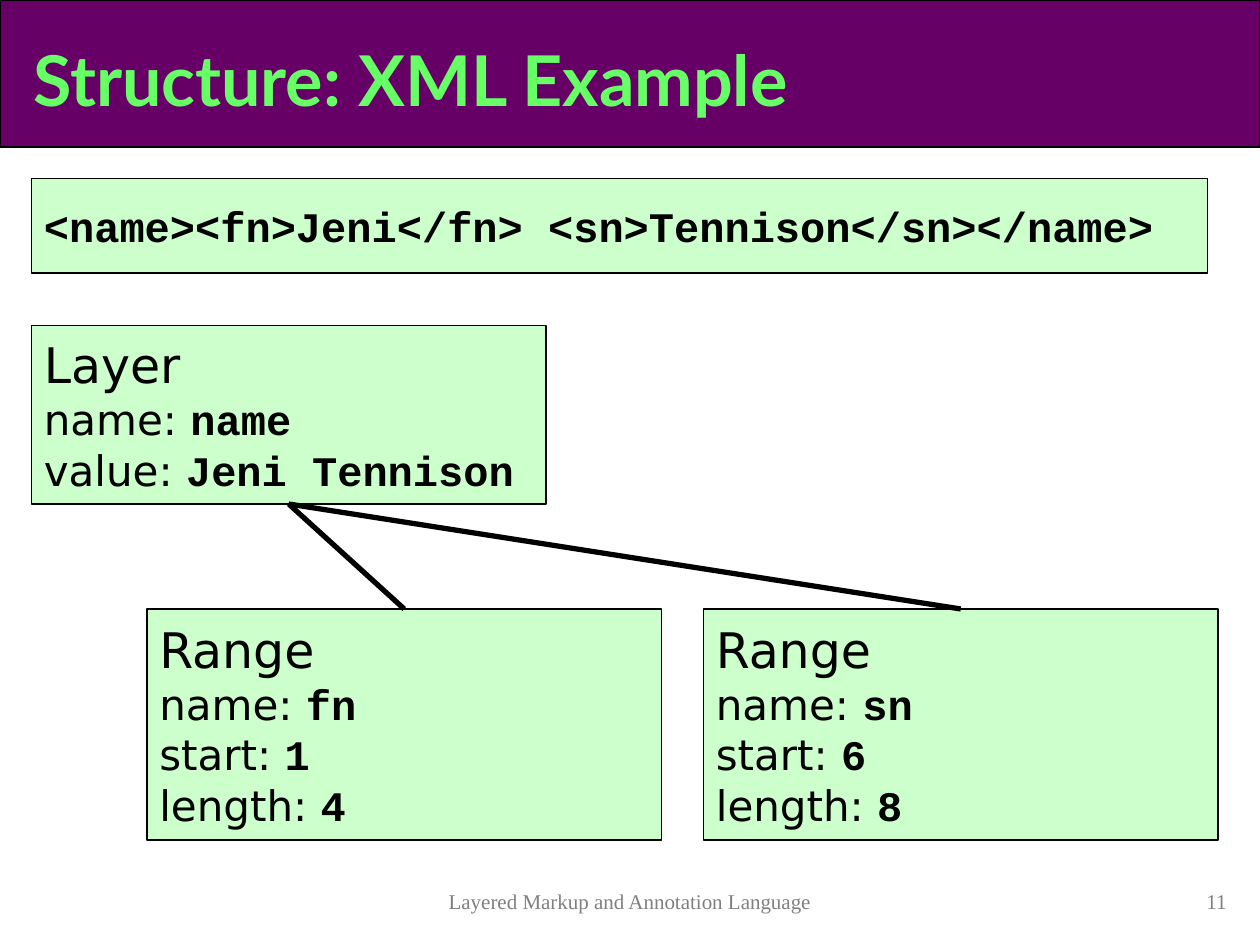
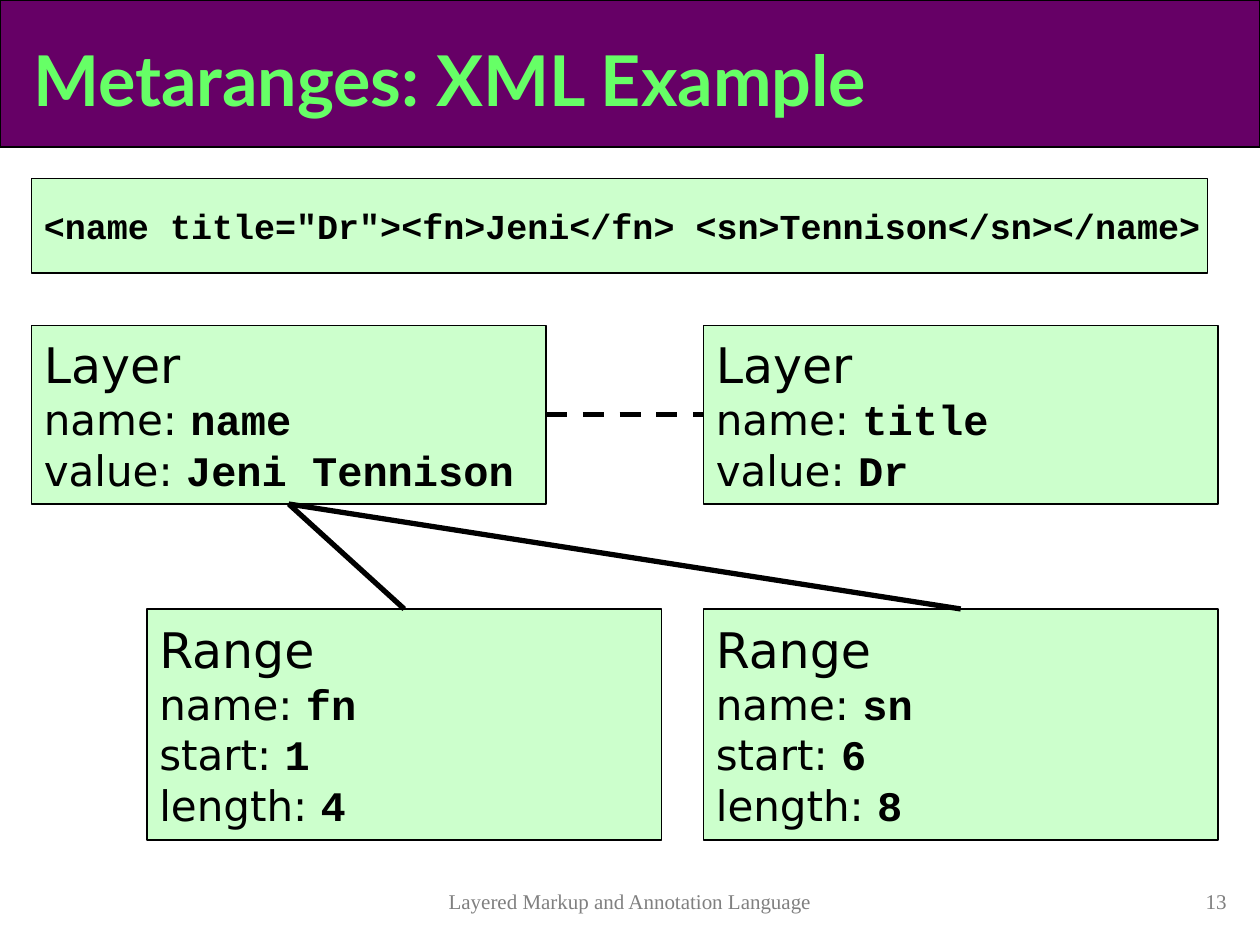
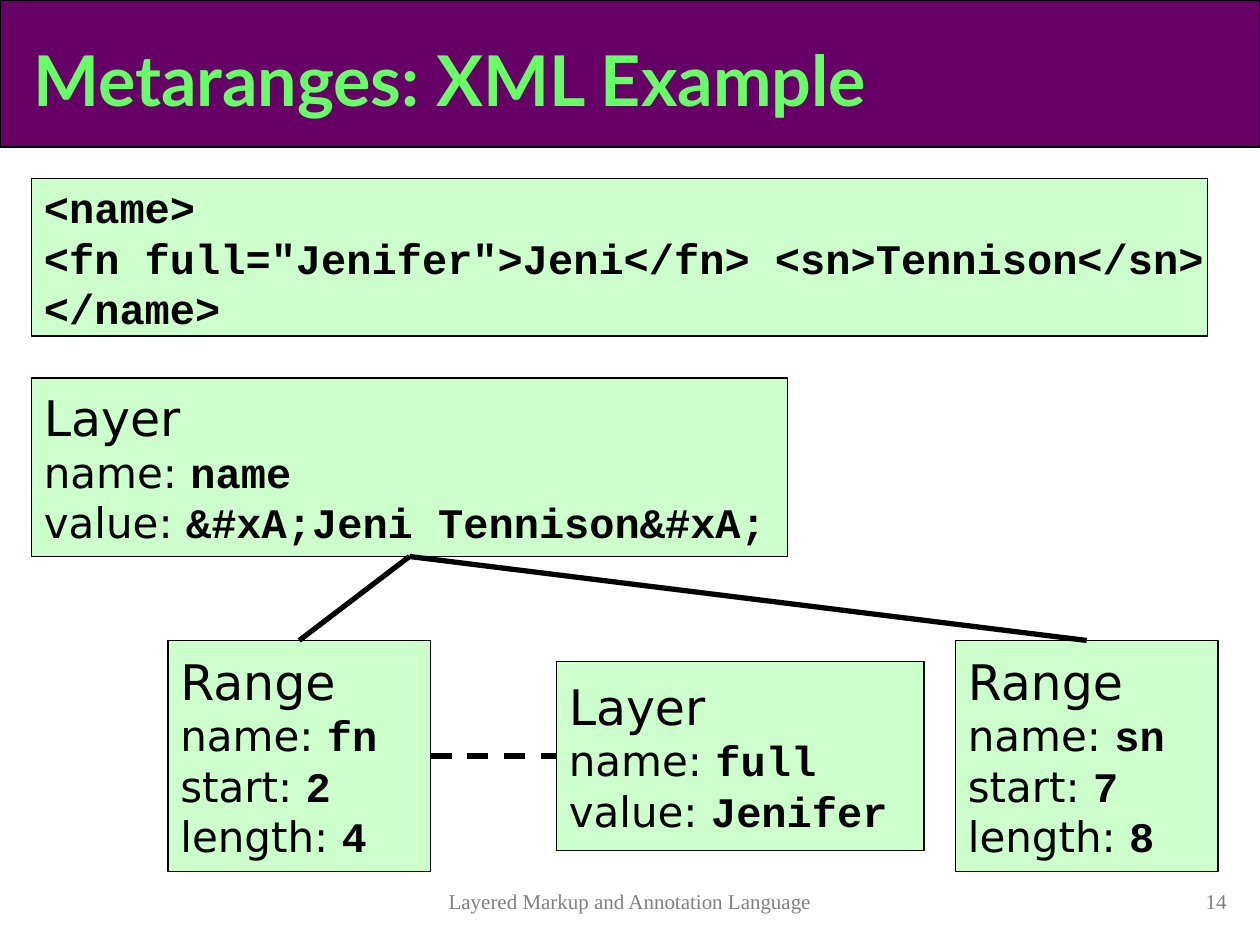
from pptx import Presentation
from pptx.dml.color import RGBColor
from pptx.enum import dml, shapes, text
from pptx.oxml import ns
from pptx.util import Pt
from lxml import etree

PURPLE = RGBColor(0x66, 0x00, 0x66)
BRIGHT_GREEN = RGBColor(0x66, 0xFF, 0x66)
PALE_GREEN = RGBColor(0xCC, 0xFF, 0xCC)
BLACK = RGBColor(0x00, 0x00, 0x00)
GREY = RGBColor(0x80, 0x80, 0x80)

TITLE_FONT = {"name": "Lato", "size": Pt(40), "bold": True}
HEAD_FONT = {"name": "DejaVu Sans", "size": Pt(28), "bold": False}
LABEL_FONT = {"name": "DejaVu Sans", "size": Pt(24), "bold": False}
CODE_FONT = {"name": "Courier New", "size": Pt(24), "bold": True}
FOOTER_FONT = {"name": "Times New Roman", "size": Pt(12), "bold": False}

LEFT, CENTER, RIGHT = text.PP_ALIGN.LEFT, text.PP_ALIGN.CENTER, text.PP_ALIGN.RIGHT
TOP, MIDDLE = text.MSO_ANCHOR.TOP, text.MSO_ANCHOR.MIDDLE
TOP_SITE, LEFT_SITE, BOTTOM_SITE, RIGHT_SITE = range(4)

BAND_BOX = (0, 0, 720, 84)
TITLE_BOX = (12, 12, 690, 66)
FOOTER_BOX = (174, 504, 372, 24)
NUMBER_BOX = (558, 504, 150, 24)
FOOTER = "Layered Markup and Annotation Language"


def set_format(target, values):
    for name, value in values.items():
        setattr(target, name, value)


def write(shape, lines, color, align=LEFT, anchor=MIDDLE, wrap=True):
    frame = shape.text_frame
    set_format(frame, {
        "word_wrap": wrap, "vertical_anchor": anchor,
        "margin_left": Pt(7.2), "margin_right": Pt(7.2),
        "margin_top": Pt(3.6), "margin_bottom": Pt(3.6),
    })
    for index, line in enumerate(lines):
        para = frame.add_paragraph() if index else frame.paragraphs[0]
        para.alignment = align
        for words, font in line:
            span = para.add_run()
            span.text = words
            set_format(span.font, font)
            span.font.color.rgb = color


def add_box(page, box, fill):
    shape = page.shapes.add_shape(shapes.MSO_SHAPE.RECTANGLE, *map(Pt, box))
    shape.shadow.inherit = False
    shape.fill.solid()
    shape.fill.fore_color.rgb = fill
    shape.line.color.rgb = BLACK
    shape.line.width = Pt(0.75)
    return shape


def add_label(page, box, words, font, color, **layout):
    label = page.shapes.add_textbox(*map(Pt, box))
    write(label, [[(words, font)]], color, **layout)


def add_page(deck, title, number):
    page = deck.slides.add_slide(deck.slide_layouts[6])
    add_box(page, BAND_BOX, PURPLE)
    add_label(page, TITLE_BOX, title, TITLE_FONT, BRIGHT_GREEN)
    add_label(page, FOOTER_BOX, FOOTER, FOOTER_FONT, GREY, align=CENTER, anchor=TOP)
    add_label(page, NUMBER_BOX, str(number), FOOTER_FONT, GREY, align=RIGHT, anchor=TOP)
    return page


def add_code(page, box, lines, size=24):
    font = {**CODE_FONT, "size": Pt(size)}
    write(add_box(page, box, PALE_GREEN), [[(line, font)] for line in lines], BLACK, wrap=False)


def add_node(page, box, heading, **fields):
    node = add_box(page, box, PALE_GREEN)
    lines = [[(heading, HEAD_FONT)]]
    for label, value in fields.items():
        lines.append([(f"{label}: ", LABEL_FONT), (value, CODE_FONT)])
    write(node, lines, BLACK, wrap=False)
    return node


def add_link(page, start, start_site, end, end_site, dashed=False):
    link = page.shapes.add_connector(shapes.MSO_CONNECTOR.STRAIGHT, 0, 0, 0, 0)
    link.begin_connect(start, start_site)
    link.end_connect(end, end_site)
    link.line.color.rgb = BLACK
    link.line.width = Pt(3)
    if dashed:
        link.line.dash_style = dml.MSO_LINE.DASH
    etree.SubElement(link._element.spPr, ns.qn("a:effectLst"))


def add_tree(page, layer_box, value, range_boxes, starts):
    layer = add_node(page, layer_box, "Layer", name="name", value=value)
    ranges = [
        add_node(page, box, "Range", name=name, start=start, length=length)
        for box, name, start, length in zip(range_boxes, ("fn", "sn"), starts, "48")
    ]
    for child in ranges:
        add_link(page, layer, BOTTOM_SITE, child, TOP_SITE)
    return layer, ranges


def add_metalayer(page, box, owner, name, value):
    metalayer = add_node(page, box, "Layer", name=name, value=value)
    add_link(page, owner, RIGHT_SITE, metalayer, LEFT_SITE, dashed=True)


def add_name_page(deck, title, number, code, size):
    page = add_page(deck, title, number)
    add_code(page, (18, 102, 672, 54), [code], size)
    range_boxes = [(left, 348, 294, 132) for left in (84, 402)]
    layer, _ = add_tree(page, (18, 186, 294, 102), "Jeni Tennison", range_boxes, "16")
    return page, layer


def add_full_name_page(deck, title, number):
    page = add_page(deck, title, number)
    code = ["<name>", '<fn full="Jenifer">Jeni</fn> <sn>Tennison</sn>', "</name>"]
    add_code(page, (18, 102, 672, 90), code)
    range_boxes = [(left, 366, 150, 132) for left in (96, 546)]
    _, ranges = add_tree(page, (18, 216, 432, 102), "&#xA;Jeni Tennison&#xA;", range_boxes, "27")
    add_metalayer(page, (318, 378, 210, 108), ranges[0], "full", "Jenifer")


def main():
    deck = Presentation()
    deck.slide_width, deck.slide_height = Pt(720), Pt(540)
    markup = "<fn>Jeni</fn> <sn>Tennison</sn></name>"
    add_name_page(deck, "Structure: XML Example", 11, "<name>" + markup, 24)
    page, layer = add_name_page(
        deck, "Metaranges: XML Example", 13, '<name title="Dr">' + markup, 20)
    add_metalayer(page, (402, 186, 294, 102), layer, "title", "Dr")
    add_full_name_page(deck, "Metaranges: XML Example", 14)
    deck.save("out.pptx")


if __name__ == "__main__":
    main()
